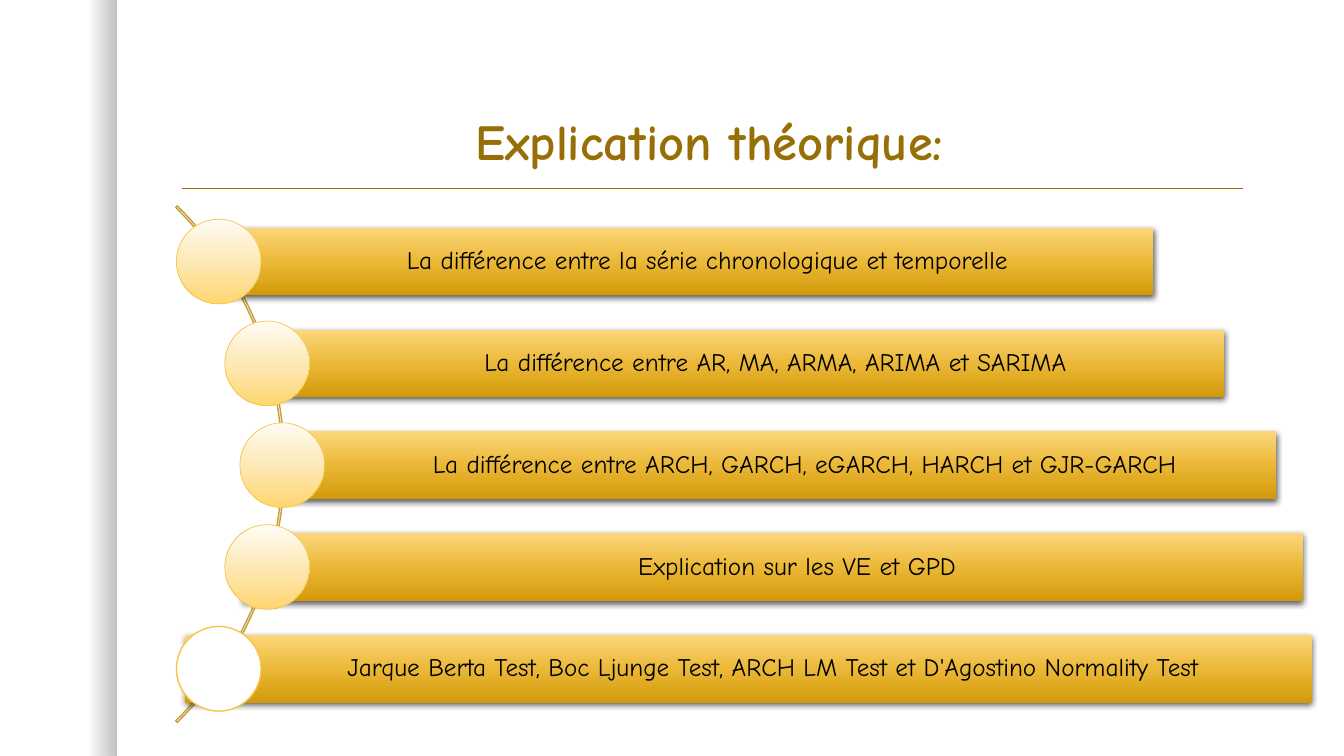
from lxml import etree
from pptx import Presentation
from pptx.dml.color import RGBColor
from pptx.enum.shapes import MSO_CONNECTOR, MSO_SHAPE
from pptx.enum.text import MSO_ANCHOR, MSO_AUTO_SIZE, PP_ALIGN
from pptx.oxml.ns import qn
from pptx.util import Inches, Pt

RECTANGLE, OVAL, BLOCK_ARC = MSO_SHAPE.RECTANGLE, MSO_SHAPE.OVAL, MSO_SHAPE.BLOCK_ARC
STRAIGHT = MSO_CONNECTOR.STRAIGHT
CENTER = PP_ALIGN.CENTER
MIDDLE, BOTTOM = MSO_ANCHOR.MIDDLE, MSO_ANCHOR.BOTTOM
NO_AUTOFIT = MSO_AUTO_SIZE.NONE

FONT = "Comic Neue"
GOLD_TEXT, GOLD_ARC, GOLD_OUTLINE = "986F07", "C69E39", "F7C547"
BLACK, WHITE = "000000", "FFFFFF"
# Gradient stops: position %, colour, opacity %
BAR_STOPS = [(0, "FBD77C", 100), (50, "EBB837", 100), (100, "D29909", 100)]
CIRCLE_STOPS = [(0, "FFFCF5", 100), (50, "FDE9B7", 100), (100, "FFD66F", 100)]
EDGE_STOPS = [(75, BLACK, 0), (100, BLACK, 25)]
DOWNWARD, RIGHTWARD = 270, 0

# Text, bar left, bar width, circle left
TOPICS = [
    ("La différence entre la série chronologique et temporelle", 2.11, 9.33, 1.75),
    ("La différence entre AR, MA, ARMA, ARIMA et SARIMA", 2.76, 9.38, 2.23),
    ("La différence entre ARCH, GARCH, eGARCH, HARCH et GJR-GARCH", 2.82, 9.84, 2.38),
    ("Explication sur les VE et GPD", 2.41, 10.51, 2.23),
    ("Jarque Berta Test, Boc Ljunge Test, ARCH LM Test et D'Agostino Normality Test",
     1.84, 11.17, 1.75),
]
ROW_PITCH, BAR_HEIGHT, CIRCLE_SIZE = 1.01, 0.67, 0.84


def color(hex_value):
    return RGBColor.from_string(hex_value)


def add_color(parent, hex_value, opacity):
    node = etree.SubElement(parent, qn("a:srgbClr"), val=hex_value)
    etree.SubElement(node, qn("a:alpha"), val=str(opacity * 1000))


def add_plain_shape(slide, kind, left, top, width, height):
    shape = slide.shapes.add_shape(
        kind, Inches(left), Inches(top), Inches(width), Inches(height))
    shape.shadow.inherit = False
    shape.fill.background()
    shape.line.fill.background()
    return shape


def set_gradient(shape, stops, angle):
    shape.fill.gradient()
    shape.fill.gradient_angle = angle
    stop_list = shape._element.spPr.find(".//" + qn("a:gsLst"))
    for stop in list(stop_list):
        stop_list.remove(stop)
    for position, hex_value, opacity in stops:
        stop = etree.SubElement(stop_list, qn("a:gs"), pos=str(position * 1000))
        add_color(stop, hex_value, opacity)


def set_outline(shape, hex_value, width):
    shape.line.color.rgb = color(hex_value)
    shape.line.width = Pt(width)


def set_shadow(shape):
    effects = shape._element.spPr.find(qn("a:effectLst"))
    shadow = etree.SubElement(
        effects, qn("a:outerShdw"), blurRad=str(Pt(4.5)), dist=str(Pt(1.5)),
        dir="5400000", algn="ctr", rotWithShape="0")
    add_color(shadow, BLACK, 63)


def format_text(text_frame, size, hex_value, anchor, bold=False):
    text_frame.word_wrap = True
    text_frame.auto_size = NO_AUTOFIT
    text_frame.vertical_anchor = anchor
    paragraph = text_frame.paragraphs[0]
    paragraph.alignment = CENTER
    paragraph.line_spacing = 0.9
    font = paragraph.runs[0].font
    font.name, font.size, font.bold = FONT, Pt(size), bold
    font.color.rgb = color(hex_value)


def add_left_edge(slide, left, top, width, height):
    edge = add_plain_shape(slide, RECTANGLE, left, top, width, height)
    set_gradient(edge, EDGE_STOPS, RIGHTWARD)


def add_heading(slide, left, top, width, height):
    # Title
    title = slide.shapes.title
    title.left, title.top = Inches(left), Inches(top)
    title.width, title.height = Inches(width), Inches(height)
    title.text_frame.text = "Explication théorique:"
    format_text(title.text_frame, 36, GOLD_TEXT, BOTTOM, bold=True)
    # Rule under the title
    rule_y = Inches(top + height + 0.12)
    rule = slide.shapes.add_connector(
        STRAIGHT, Inches(left + 0.15), rule_y, Inches(left + width - 0.08), rule_y)
    set_outline(rule, GOLD_TEXT, 1)
    etree.SubElement(rule._element.spPr, qn("a:effectLst"))


def add_topic(slide, top, text, bar_left, bar_width, circle_left, is_last):
    # Bar with its text
    bar = add_plain_shape(slide, RECTANGLE, bar_left, top, bar_width, BAR_HEIGHT)
    set_gradient(bar, BAR_STOPS, DOWNWARD)
    set_shadow(bar)
    text_frame = bar.text_frame
    text_frame.text = text
    text_frame.margin_left = Inches(0.53)
    text_frame.margin_right = Inches(0.05)
    text_frame.margin_top = text_frame.margin_bottom = Inches(0.05)
    format_text(text_frame, 18, BLACK, MIDDLE)
    # Circle centred on the bar's height
    circle_top = top - (CIRCLE_SIZE - BAR_HEIGHT) / 2
    circle = add_plain_shape(
        slide, OVAL, circle_left, circle_top, CIRCLE_SIZE, CIRCLE_SIZE)
    if is_last:
        circle.fill.solid()
        circle.fill.fore_color.rgb = color(WHITE)
    else:
        set_gradient(circle, CIRCLE_STOPS, DOWNWARD)
    set_outline(circle, GOLD_OUTLINE, 1 if is_last else 0.5)


def add_topic_list(slide, left, top):
    # Arc behind the circles
    arc = add_plain_shape(slide, BLOCK_ARC, left, top, 7.25, 7.25)
    for index, value in enumerate((189, 27, 0.003)):
        arc.adjustments[index] = value
    set_outline(arc, GOLD_ARC, 1)
    # One row per topic
    for index, topic in enumerate(TOPICS):
        row_top = top + 1.28 + index * ROW_PITCH
        add_topic(slide, row_top, *topic, is_last=index == len(TOPICS) - 1)


def main():
    presentation = Presentation()
    presentation.slide_width, presentation.slide_height = Inches(13.33), Inches(7.5)
    slide = presentation.slides.add_slide(presentation.slide_layouts[5])
    add_left_edge(slide, 0, 0, 1.16, 7.5)
    add_heading(slide, 1.66, 0.83, 10.75, 0.92)
    add_topic_list(slide, -4.43, 0.98)
    presentation.save("out.pptx")


if __name__ == "__main__":
    main()
